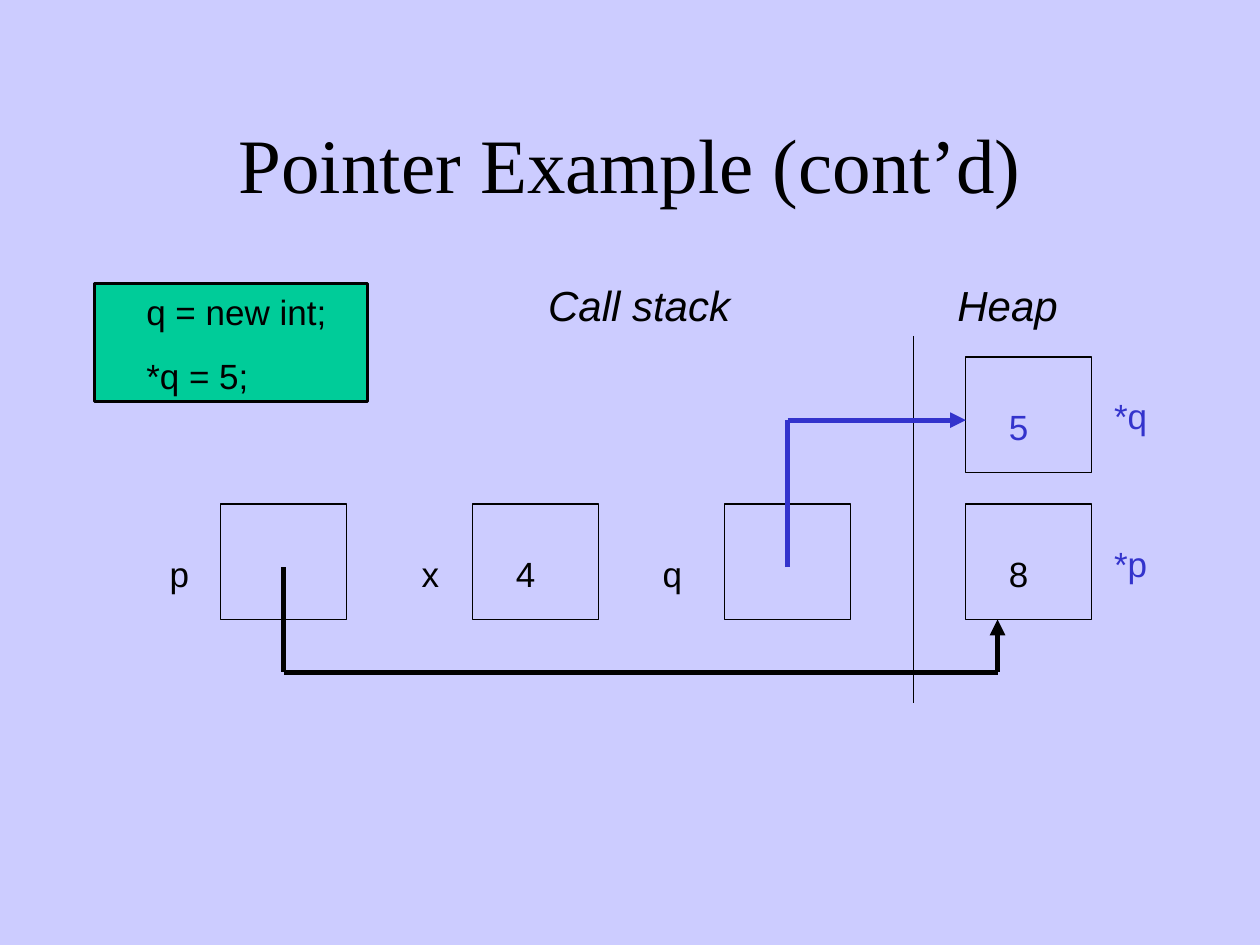
from dataclasses import dataclass

from lxml.etree import SubElement
from pptx import Presentation
from pptx.dml.color import RGBColor
from pptx.enum.shapes import MSO_CONNECTOR, MSO_SHAPE
from pptx.enum.text import MSO_ANCHOR, PP_ALIGN
from pptx.oxml.ns import qn
from pptx.slide import Slide
from pptx.util import Cm, Pt

COLORS = {"background": "CCCCFF", "ink": "000000", "code": "00CC99", "pointer": "3333CC"}
CELL_WIDTH, CELL_HEIGHT = 2.54, 2.33
LABEL_WIDTH, LABEL_HEIGHT = 1.7, 1.11
STACK_LEFT, STACK_PITCH, STACK_TOP = 4.45, 5.08, 10.16
HEAP_LEFT, HEAP_TOP = 19.47, 7.2
POINTER_Y, ROUTE_Y = 8.47, 13.55
P_X, Q_X, ARROW_X, CENTER_Y = 5.72, 15.88, 20.11, 11.43

BODY = {"name": "Arial", "size": Pt(20)}
HEADING = {"name": "Arial", "size": Pt(24), "italic": True}
TITLE = {"name": "Times New Roman", "size": Pt(44)}
FRAME = {"word_wrap": True, "margin_right": Cm(0.25),
         "margin_top": Cm(0.13), "margin_bottom": Cm(0.13)}


@dataclass
class Label:
    text: str
    left: float
    top: float
    width: float = LABEL_WIDTH
    height: float = LABEL_HEIGHT
    inset: float = 0.45
    color: str = "ink"


@dataclass
class Cell:
    left: float
    top: float
    value: str = ""
    color: str = "ink"


@dataclass
class Segment:
    start: tuple[float, float]
    end: tuple[float, float]
    color: str = "ink"
    width: float = 3
    arrow: bool = False


def color_of(name: str) -> RGBColor:
    return RGBColor.from_string(COLORS[name])


def apply_format(target, values: dict) -> None:
    for attribute, value in values.items():
        setattr(target, attribute, value)


def write_text(shape, text: str, inset: float, color: str, font: dict,
               alignment=PP_ALIGN.LEFT, anchor=MSO_ANCHOR.TOP) -> None:
    frame = shape.text_frame
    apply_format(frame, FRAME | {"margin_left": Cm(inset), "vertical_anchor": anchor})
    frame.text = text
    for index, paragraph in enumerate(frame.paragraphs):
        paragraph.alignment = alignment
        if index:
            paragraph.space_before = Pt(12.5)
        apply_format(paragraph.font, font)
        paragraph.font.color.rgb = color_of(color)


def draw_label(slide: Slide, label: Label, font: dict, **layout) -> None:
    box = slide.shapes.add_textbox(Cm(label.left), Cm(label.top), Cm(label.width), Cm(label.height))
    write_text(box, label.text, label.inset, label.color, font, **layout)


def draw_rectangle(slide: Slide, left: float, top: float, width: float, height: float,
                   line_width: float):
    shape = slide.shapes.add_shape(MSO_SHAPE.RECTANGLE, Cm(left), Cm(top), Cm(width), Cm(height))
    shape.shadow.inherit = False
    shape.fill.background()
    shape.line.color.rgb = color_of("ink")
    shape.line.width = Pt(line_width)
    return shape


def draw_cell(slide: Slide, cell: Cell) -> None:
    draw_rectangle(slide, cell.left, cell.top, CELL_WIDTH, CELL_HEIGHT, 0.75)
    if cell.value:
        label = Label(cell.value, cell.left + 0.42, cell.top + 0.85, color=cell.color)
        draw_label(slide, label, BODY)


def draw_code(slide: Slide, text: str) -> None:
    shape = draw_rectangle(slide, 1.91, 5.72, 5.5, 2.38, 1.75)
    shape.fill.solid()
    shape.fill.fore_color.rgb = color_of("code")
    write_text(shape, text, 1.04, "ink", BODY)


def draw_segment(slide: Slide, segment: Segment) -> None:
    points = [Cm(value) for value in segment.start + segment.end]
    connector = slide.shapes.add_connector(MSO_CONNECTOR.STRAIGHT, *points)
    connector.line.color.rgb = color_of(segment.color)
    connector.line.width = Pt(segment.width)
    if segment.arrow:
        SubElement(connector.line._get_or_add_ln(), qn("a:tailEnd"), type="triangle")
    SubElement(connector._element.spPr, qn("a:effectLst"))


def main() -> None:
    presentation = Presentation()
    presentation.slide_width, presentation.slide_height = Cm(25.4), Cm(19.05)
    slide = presentation.slides.add_slide(presentation.slide_layouts[6])
    slide.background.fill.solid()
    slide.background.fill.fore_color.rgb = color_of("background")

    draw_label(slide, Label("Pointer Example (cont’d)", 1.91, 1.69, 21.59, 3.18, 0.25), TITLE,
               alignment=PP_ALIGN.CENTER, anchor=MSO_ANCHOR.MIDDLE)
    draw_code(slide, "q = new int;\n*q = 5;")
    for heading in (Label("Call stack", 10.8, 5.5, 4.66, 1.27, 0.25),
                    Label("Heap", 19.05, 5.5, 2.96, 1.27, 0.25)):
        draw_label(slide, heading, HEADING)

    stack = [Cell(STACK_LEFT + index * STACK_PITCH, STACK_TOP, value)
             for index, value in enumerate(("", "4", ""))]
    heap = [Cell(HEAP_LEFT, STACK_TOP, "8"), Cell(HEAP_LEFT, HEAP_TOP, "5", "pointer")]
    for cell in stack + heap:
        draw_cell(slide, cell)

    for label in (Label("p", 2.97, 11.01), Label("x", 8.05, 11.01), Label("q", 12.91, 11.01),
                  Label("*p", 22.01, 10.8, color="pointer"),
                  Label("*q", 22.01, 7.83, color="pointer")):
        draw_label(slide, label, BODY)

    for segment in (
        Segment((18.42, 6.77), (18.42, 14.18), width=0.75),
        Segment((P_X, CENTER_Y), (P_X, ROUTE_Y)),
        Segment((P_X, ROUTE_Y), (ARROW_X, ROUTE_Y)),
        Segment((ARROW_X, ROUTE_Y), (ARROW_X, STACK_TOP + CELL_HEIGHT), arrow=True),
        Segment((Q_X, CENTER_Y), (Q_X, POINTER_Y), "pointer"),
        Segment((Q_X, POINTER_Y), (HEAP_LEFT, POINTER_Y), "pointer", arrow=True),
    ):
        draw_segment(slide, segment)

    presentation.save("out.pptx")


if __name__ == "__main__":
    main()
